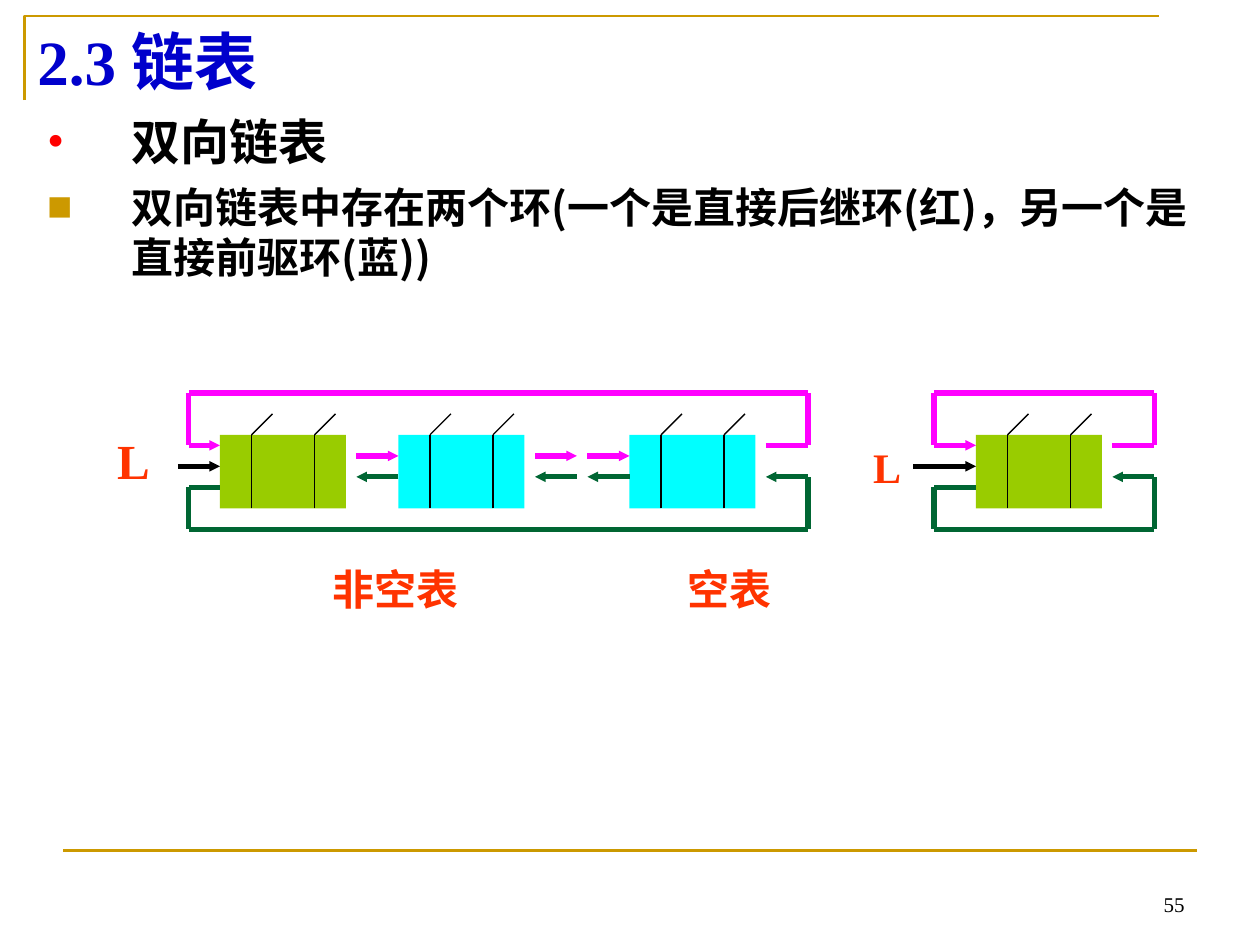
from dataclasses import dataclass
from itertools import pairwise

from lxml.etree import SubElement
from pptx import Presentation
from pptx.dml.color import RGBColor as RGB
from pptx.enum.shapes import MSO_CONNECTOR as Conn, MSO_SHAPE as Shape
from pptx.enum.text import MSO_ANCHOR as Anchor, PP_ALIGN as Align
from pptx.oxml.ns import qn
from pptx.util import Cm, Pt


@dataclass(frozen=True)
class Theme:
    latin: str = "Times New Roman"
    cjk: str = "Noto Sans CJK SC"
    gold: str = "CC9900"
    title: str = "0000CC"
    ink: str = "000000"
    label: str = "FF3300"
    bullet: str = "FF0000"
    head_node: str = "99CC00"
    node: str = "00FFFF"
    next_link: str = "FF00FF"
    prior_link: str = "006633"
    title_size: int = 36
    topic_size: int = 28
    text_size: int = 24
    number_size: int = 12
    thin: float = 0.75
    rule: float = 1.5
    thick: float = 3


@dataclass(frozen=True)
class Node:
    x: int
    color: str


@dataclass(frozen=True)
class Ring:
    left: int
    right: int
    head: int    # left edge of the head node
    entry: int   # where the pointer L starts


@dataclass(frozen=True)
class Bullet:
    char: str
    color: str
    text: str
    size: int
    before: int


Point = tuple[int, int]
T = Theme()

# Diagram grid: twelve units to a node's width
UNIT, X0, Y0 = 2.54 / 12, 3.8, 7.92
NODE_W, NODE_H, NODE_Y = 12, 7, 4

NODES = [Node(3, T.head_node), Node(20, T.node), Node(42, T.node), Node(75, T.head_node)]
RINGS = [Ring(0, 59, 3, -1), Ring(71, 92, 75, 69)]
LINKS = [16, 33, 38]
BULLETS = [
    Bullet("•", T.bullet, "双向链表", T.topic_size, 0),
    Bullet("■", T.gold, "双向链表中存在两个环(一个是直接后继环(红)，另一个是直接前驱环(蓝))",
           T.text_size, 6),
]


def gx(n: float) -> int:
    return Cm(X0 + n * UNIT)


def gy(n: float) -> int:
    return Cm(Y0 + n * UNIT)


def add_run(p, text: str, size: int, color: str, font: str, bold: bool = True) -> None:
    r = p.add_run()
    r.text = text
    r.font.size, r.font.bold, r.font.name = Pt(size), bold, font
    r.font.color.rgb = RGB.from_string(color)
    SubElement(r.font._element, qn("a:ea")).set("typeface", T.cjk)


def add_box(shapes, x: float, y: float, w: float, h: float, wrap: bool = True):
    tf = shapes.add_textbox(Cm(x), Cm(y), Cm(w), Cm(h)).text_frame
    tf.word_wrap = wrap
    return tf


def add_line(shapes, start: Point, end: Point, color: str, width: float,
             arrow: bool = False) -> None:
    """Draw a straight line between two points given in EMU."""
    sp = shapes.add_connector(Conn.STRAIGHT, *start, *end)
    sp.line.color.rgb = RGB.from_string(color)
    sp.line.width = Pt(width)
    if arrow:
        SubElement(sp.line._get_or_add_ln(), qn("a:tailEnd"),
                   type="triangle", w="sm", len="sm")
    SubElement(sp._element.spPr, qn("a:effectLst"))


def add_route(shapes, points: list[Point], color: str, width: float = T.thick,
              arrow: bool = True) -> None:
    """Join grid points by lines, with the arrowhead on the last one."""
    pairs = list(pairwise((gx(x), gy(y)) for x, y in points))
    for i, (start, end) in enumerate(pairs, 1):
        add_line(shapes, start, end, color, width, arrow and i == len(pairs))


def add_node(shapes, node: Node) -> None:
    sp = shapes.add_shape(Shape.RECTANGLE, gx(node.x), gy(NODE_Y),
                          Cm(NODE_W * UNIT), Cm(NODE_H * UNIT))
    sp.shadow.inherit = False
    sp.fill.solid()
    sp.fill.fore_color.rgb = RGB.from_string(node.color)
    sp.line.fill.background()
    for x in (node.x + 3, node.x + 9):
        points = [(x, NODE_Y + NODE_H), (x, NODE_Y), (x + 2, NODE_Y - 2)]
        add_route(shapes, points, T.ink, T.thin, arrow=False)


def add_ring(shapes, ring: Ring) -> None:
    left, right, tail = ring.left, ring.right, ring.right - 4
    add_route(shapes, [(ring.entry, 7), (ring.head, 7)], T.ink)
    add_route(shapes, [(tail, 5), (right, 5), (right, 0), (left, 0), (left, 5),
                       (ring.head, 5)], T.next_link)
    add_route(shapes, [(ring.head, 9), (left, 9), (left, 13), (right, 13), (right, 8),
                       (tail, 8)], T.prior_link)


def add_bullet(p, item: Bullet) -> None:
    pPr = p._p.get_or_add_pPr()
    pPr.set("marL", str(Cm(1.7)))
    pPr.set("indent", str(-Cm(1.7)))
    p.space_before = Pt(item.before)
    color = SubElement(pPr, qn("a:buClr"))
    SubElement(color, qn("a:srgbClr")).set("val", item.color)
    SubElement(pPr, qn("a:buFont")).set("typeface", T.latin)
    SubElement(pPr, qn("a:buChar")).set("char", item.char)
    add_run(p, item.text, item.size, T.ink, T.cjk)


def main() -> None:
    prs = Presentation()
    prs.slide_width, prs.slide_height = Cm(25.4), Cm(19.05)
    s = prs.slides.add_slide(prs.slide_layouts[5])
    shapes = s.shapes

    # Frame corner and footer rule
    corner = shapes.build_freeform(Cm(0.5), Cm(2.02), scale=1.0)
    corner.add_line_segments([(Cm(0.5), Cm(0.32)), (Cm(23.37), Cm(0.32))], close=False)
    sp = corner.convert_to_shape()
    sp.shadow.inherit = False
    sp.fill.background()
    sp.line.color.rgb = RGB.from_string(T.gold)
    sp.line.width = Pt(T.rule)
    add_line(shapes, (Cm(1.27), Cm(17.15)), (Cm(24.13), Cm(17.15)), T.gold, T.rule)

    # Title
    title = shapes.title
    title.left, title.top, title.width, title.height = Cm(0.5), Cm(0.32), Cm(22.86), Cm(1.8)
    tf = title.text_frame
    tf.vertical_anchor = Anchor.MIDDLE
    tf.paragraphs[0].alignment = Align.LEFT
    add_run(tf.paragraphs[0], "2.3 链表", T.title_size, T.title, T.latin)

    # Bulleted text
    tf = add_box(shapes, 0.7, 2.13, 23.6, 5.2)
    for i, item in enumerate(BULLETS):
        add_bullet(tf.add_paragraph() if i else tf.paragraphs[0], item)

    # Linked lists
    for node in NODES:
        add_node(shapes, node)
    for x in LINKS:
        add_route(shapes, [(x, 6), (x + 4, 6)], T.next_link)
        add_route(shapes, [(x + 4, 8), (x, 8)], T.prior_link)
    for ring in RINGS:
        add_ring(shapes, ring)

    # Labels
    for x, y, size in ((2.11, 8.56, T.topic_size), (17.35, 8.78, T.text_size)):
        tf = add_box(shapes, x, y, 1.1, 1.3, wrap=False)
        add_run(tf.paragraphs[0], "L", size, T.label, T.latin)
    p = add_box(shapes, 6.45, 11.24, 15, 1.32).paragraphs[0]
    tabs = SubElement(p._p.get_or_add_pPr(), qn("a:tabLst"))
    SubElement(tabs, qn("a:tab"), pos=str(Cm(7.16)), algn="l")
    add_run(p, "非空表\t空表", T.text_size, T.label, T.cjk)

    # Slide number
    tf = add_box(shapes, 18.2, 17.33, 5.93, 1.27)
    tf.vertical_anchor = Anchor.BOTTOM
    tf.paragraphs[0].alignment = Align.RIGHT
    add_run(tf.paragraphs[0], "55", T.number_size, T.ink, T.latin, bold=False)

    prs.save("out.pptx")


if __name__ == "__main__":
    main()
